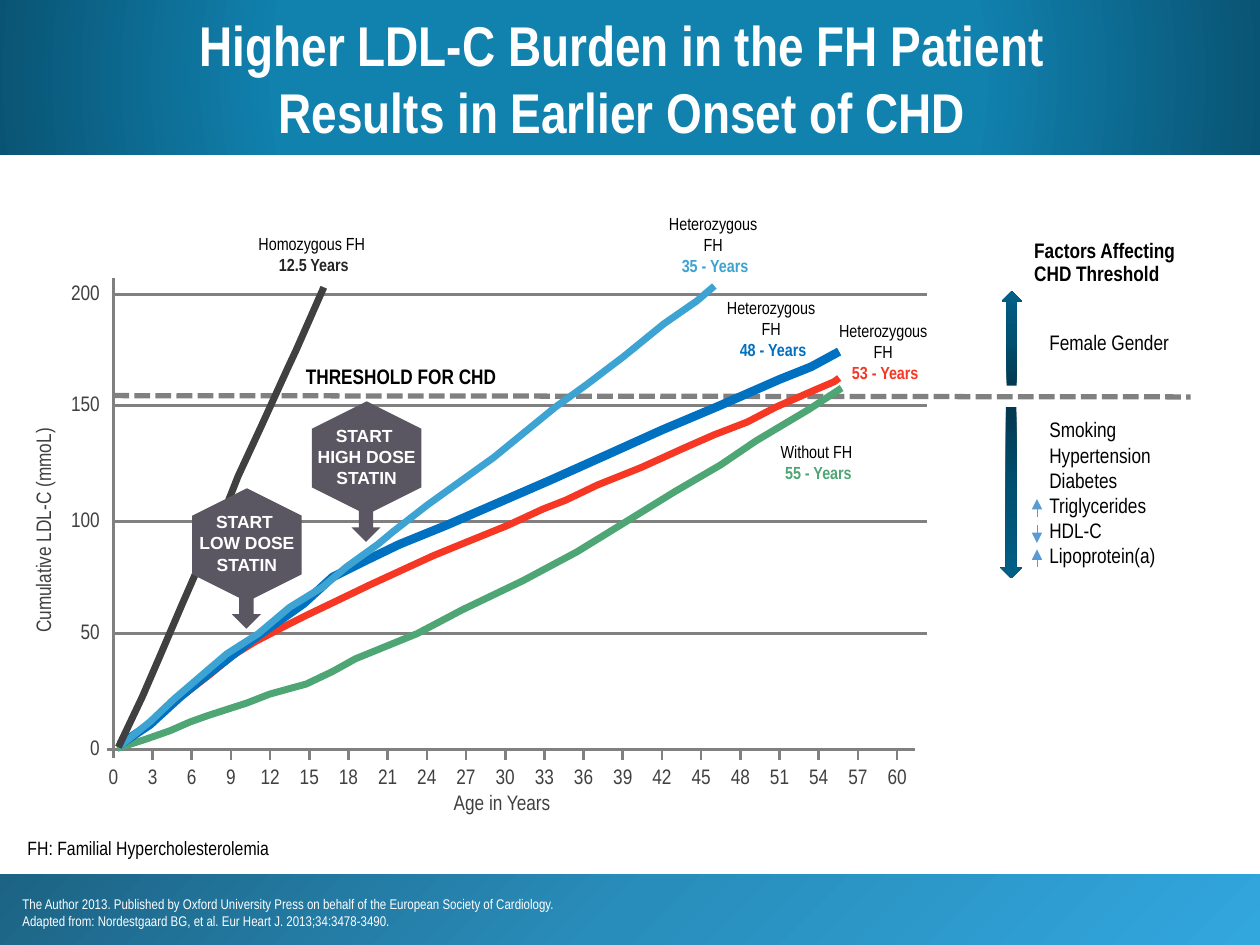
import copy
import dataclasses

import lxml.etree
import pptx
import pptx.dml.color
import pptx.enum.dml
import pptx.enum.shapes
import pptx.enum.text
import pptx.oxml.ns
import pptx.util

ALIGN = pptx.enum.text.PP_ALIGN
SHAPE = pptx.enum.shapes.MSO_SHAPE
qn = pptx.oxml.ns.qn


@dataclasses.dataclass(frozen=True)
class Type:
    size: float
    color: str
    bold: bool = False
    font: str = "Arial Narrow"


@dataclasses.dataclass(frozen=True)
class Theme:
    title: Type = Type(32, "FFFFFF", True)
    credit: Type = Type(8, "FFFFFF")
    axis: Type = Type(12, "404040")
    body: Type = Type(12, "000000")
    heading: Type = Type(12, "000000", True)
    group: Type = Type(10, "000000")
    statin: Type = Type(10, "FFFFFF", True, "Arial")
    note: Type = Type(11, "000000")
    grid: str = "808080"
    badge: str = "5A5762"
    trend: str = "5B9BD5"
    homozygous: str = "404040"
    onset_dark: str = "262626"
    early: str = "3CA3D3"
    middle: str = "0070C0"
    late: str = "F63724"
    without: str = "4EA675"
    banner: tuple = ((0, "1181AE"), (55, "1181AE"), (100, "095474"))
    footer: tuple = ((0, "1D6384"), (50, "298DBB"), (100, "31A7DE"))
    factor: tuple = ((0, "013950"), (50, "015172"), (100, "016087"))


THEME = Theme()
X_ORIGIN, X_STEP = 0.9, 0.311
GRID_LEVELS = {200: 2.34, 150: 3.22, 100: 4.14, 50: 5.03, 0: 5.95}

CURVES = [
    (THEME.without, 4, [(0.93, 5.94), (1.15, 5.87), (1.35, 5.8), (1.51, 5.73), (1.65, 5.68),
                        (1.96, 5.58), (2.14, 5.51), (2.32, 5.46), (2.43, 5.43), (2.64, 5.33),
                        (2.82, 5.23), (3.31, 5.03), (3.67, 4.84), (4.15, 4.61), (4.58, 4.38),
                        (4.97, 4.14), (5.36, 3.9), (5.72, 3.69), (6, 3.5), (6.42, 3.25),
                        (6.68, 3.08)]),
    (THEME.late, 4, [(0.95, 5.92), (1.2, 5.74), (1.45, 5.52), (1.67, 5.35), (1.85, 5.2),
                     (2.03, 5.09), (2.28, 4.96), (2.44, 4.88), (2.67, 4.77), (2.94, 4.64),
                     (3.44, 4.41), (3.66, 4.32), (4.03, 4.17), (4.31, 4.04), (4.49, 3.97),
                     (4.74, 3.85), (5.09, 3.71), (5.42, 3.56), (5.67, 3.45), (5.93, 3.35),
                     (6.16, 3.23), (6.48, 3.09), (6.62, 3.03), (6.66, 3)]),
    (THEME.middle, 5, [(0.95, 5.91), (1.19, 5.75), (1.43, 5.53), (1.65, 5.35), (2, 5.08),
                       (2.41, 4.79), (2.64, 4.58), (2.88, 4.46), (3.17, 4.32), (3.54, 4.17),
                       (4.37, 3.81), (4.86, 3.59), (5.26, 3.41), (5.71, 3.22), (6.19, 3.01),
                       (6.44, 2.91), (6.66, 2.79)]),
    (THEME.early, 4, [(0.94, 5.93), (1.19, 5.73), (1.38, 5.55), (1.8, 5.19), (2.05, 5.03),
                      (2.3, 4.82), (2.56, 4.66), (2.75, 4.5), (3, 4.32), (3.12, 4.22),
                      (3.39, 4.01), (3.92, 3.63), (4.41, 3.23), (4.66, 3.05), (4.95, 2.83),
                      (5.27, 2.57), (5.53, 2.39), (5.67, 2.27)]),
    (THEME.homozygous, 4, [(0.94, 5.93), (1.13, 5.53), (1.26, 5.23), (1.44, 4.81), (1.58, 4.49),
                           (1.76, 4.11), (1.89, 3.78), (2.08, 3.37), (2.28, 2.93), (2.35, 2.78),
                           (2.57, 2.28)]),
]

ONSETS = [
    ((1.42, 1.8, 2.14, 0.44), "Homozygous FH \n", "12.5 Years", THEME.onset_dark),
    ((6, 3.45, 0.99, 0.44), "Without FH \n", "55 - Years", THEME.without),
    ((4.98, 1.64, 1.39, 0.61), "Heterozygous \nFH \n", "35 - Years", THEME.early),
    ((5.44, 2.31, 1.39, 0.61), "Heterozygous \nFH \n", "48 - Years", THEME.middle),
    ((6.33, 2.49, 1.39, 0.61), "Heterozygous \nFH \n", "53 - Years", THEME.late),
]


def lengths(*inches):
    return [pptx.util.Cm(2.54 * value) for value in inches]


def rgb(color):
    return pptx.dml.color.RGBColor.from_string(color)


def write_run(paragraph, words, style):
    for index, line in enumerate(words.split("\n")):
        if index:
            paragraph.add_line_break()
            paragraph._p[-1].append(copy.deepcopy(run._r.get_or_add_rPr()))
        if line:
            run = paragraph.add_run()
            run.text = line
            run.font.size = pptx.util.Pt(style.size)
            run.font.name = style.font
            run.font.bold = style.bold
            run.font.color.rgb = rgb(style.color)


def write(frame, paragraphs, align=ALIGN.LEFT, spacing=None):
    for index, runs in enumerate(paragraphs):
        paragraph = frame.add_paragraph() if index else frame.paragraphs[0]
        paragraph.alignment = align
        paragraph.line_spacing = spacing
        for words, style in runs:
            write_run(paragraph, words, style)


def add_text(shapes, box, paragraphs, align=ALIGN.LEFT, spacing=None, wrap=True):
    label = shapes.add_textbox(*lengths(*box))
    label.text_frame.word_wrap = wrap
    label.text_frame.auto_size = pptx.enum.text.MSO_AUTO_SIZE.SHAPE_TO_FIT_TEXT
    write(label.text_frame, paragraphs, align, spacing)
    return label


def add_line(shapes, start, end, color=THEME.grid, width=1.5):
    line = shapes.add_connector(pptx.enum.shapes.MSO_CONNECTOR.STRAIGHT, *lengths(*start, *end))
    line.line.color.rgb = rgb(color)
    line.line.width = pptx.util.Pt(width)
    lxml.etree.SubElement(line._element.spPr, qn("a:effectLst"))
    return line


def add_trend(shapes, start, end):
    arrow = add_line(shapes, start, end, THEME.trend, 0.5)
    lxml.etree.SubElement(arrow.line._get_or_add_ln(), qn("a:tailEnd"), type="triangle")


def add_block(shapes, kind, box, color=None, rotation=0):
    block = shapes.add_shape(kind, *lengths(*box))
    block.shadow.inherit = False
    block.line.fill.background()
    block.rotation = rotation
    if color:
        block.fill.solid()
        block.fill.fore_color.rgb = rgb(color)
    return block


def add_gradient_block(shapes, kind, box, stops, angle=None):
    block = add_block(shapes, kind, box)
    gradient = lxml.etree.Element(qn("a:gradFill"), rotWithShape="1")
    stop_list = lxml.etree.SubElement(gradient, qn("a:gsLst"))
    for position, color in stops:
        stop = lxml.etree.SubElement(stop_list, qn("a:gs"), pos=str(position * 1000))
        lxml.etree.SubElement(stop, qn("a:srgbClr"), val=color)
    if angle is None:
        radial = lxml.etree.SubElement(gradient, qn("a:path"), path="circle")
        lxml.etree.SubElement(radial, qn("a:fillToRect"), dict.fromkeys("ltrb", "50000"))
    else:
        lxml.etree.SubElement(gradient, qn("a:lin"), ang=str(angle * 60000), scaled="0")
    block._element.spPr.find(qn("a:prstGeom")).addnext(gradient)
    return block


def add_curve(shapes, color, width, points):
    start, *rest = [lengths(*point) for point in points]
    builder = shapes.build_freeform(*start)
    builder.add_line_segments(rest, close=False)
    curve = builder.convert_to_shape()
    curve.shadow.inherit = False
    curve.fill.background()
    curve.line.color.rgb = rgb(color)
    curve.line.width = pptx.util.Pt(width)


def add_badge(shapes, left, top, words):
    add_block(shapes, SHAPE.DOWN_ARROW, (left + 0.33, top + 0.49, 0.23, 0.61), THEME.badge)
    add_block(shapes, SHAPE.HEXAGON, (left, top, 0.9, 0.87), THEME.badge, 270)
    add_text(shapes, (left - 0.065, top + 0.12, 1.03, 0.61), [[(words, THEME.statin)]], ALIGN.CENTER)


def add_axes(shapes):
    threshold = add_line(shapes, (0.9, 3.14), (9.45, 3.15), width=3)
    threshold.line.dash_style = pptx.enum.dml.MSO_LINE.SQUARE_DOT
    for value, y in GRID_LEVELS.items():
        add_line(shapes, (0.9 if value else 0.85, y), (7.36 if value else 7.26, y))
        add_text(shapes, (0.39, y - 0.17, 0.5, 0.3), [[(str(value), THEME.axis)]], ALIGN.RIGHT)
    add_line(shapes, (X_ORIGIN, 2.21), (X_ORIGIN, 6.02))
    for step in range(21):
        x = X_ORIGIN + step * X_STEP
        if step:
            add_line(shapes, (x, 5.95), (x, 6.03))
        add_text(shapes, (x - 0.23, 6.01, 0.46, 0.3), [[(str(step * 3), THEME.axis)]], ALIGN.CENTER)
    add_text(shapes, (2.97, 6.22, 2.03, 0.3), [[("Age in Years", THEME.axis)]], ALIGN.CENTER)
    cumulative = add_text(shapes, (-1.04, 4.06, 2.76, 0.3),
                          [[("Cumulative LDL-C (mmoL)", THEME.axis)]], ALIGN.CENTER)
    cumulative.rotation = 270


def add_factors(shapes):
    add_gradient_block(shapes, SHAPE.UP_ARROW, (7.95, 2.31, 0.16, 0.75), THEME.factor, 270)
    add_gradient_block(shapes, SHAPE.DOWN_ARROW, (7.94, 3.23, 0.17, 1.36), THEME.factor, 90)
    add_text(shapes, (8.11, 1.85, 1.37, 0.48),
             [[(words, THEME.heading)] for words in ("Factors Affecting", "CHD Threshold")],
             spacing=0.93, wrap=False)
    add_text(shapes, (8.23, 2.57, 2.14, 0.3), [[("Female Gender", THEME.body)]])
    risks = shapes.add_group_shape().shapes
    names = ("Smoking", "Hypertension", "Diabetes", "Triglycerides", "HDL-C", "Lipoprotein(a)")
    add_text(risks, (8.23, 3.26, 2.14, 1.52), [[(name, THEME.body)] for name in names])
    for start, end in ((4.5, 4.36), (4.1, 3.96), (4.17, 4.31)):
        add_trend(risks, (8.23, start), (8.23, end))


def main():
    deck = pptx.Presentation()
    deck.slide_width, deck.slide_height = lengths(10, 7.5)
    shapes = deck.slides.add_slide(deck.slide_layouts[6]).shapes

    add_gradient_block(shapes, SHAPE.RECTANGLE, (-0.02, 6.94, 10.02, 0.56), THEME.footer, 45)
    banner = add_gradient_block(shapes, SHAPE.RECTANGLE, (-0.02, 0, 10.02, 1.23), THEME.banner)
    banner.text_frame.vertical_anchor = pptx.enum.text.MSO_ANCHOR.MIDDLE
    write(banner.text_frame, [[("Higher LDL-C Burden in the FH Patient ", THEME.title)],
                              [("Results in Earlier Onset of CHD ", THEME.title)]], ALIGN.CENTER)
    add_text(shapes, (0.08, 7.06, 8.84, 0.36), [
        [("The Author 2013. Published by Oxford University Press on behalf of the "
          "European Society of Cardiology.", THEME.credit)],
        [("Adapted from: Nordestgaard BG, et al. Eur Heart J. 2013;34:3478-3490.", THEME.credit)]])

    add_axes(shapes)
    for curve in CURVES:
        add_curve(shapes, *curve)
    add_text(shapes, (2.33, 2.84, 2.14, 0.3), [[("THRESHOLD FOR CHD", THEME.heading)]])
    for box, patients, onset, color in ONSETS:
        onset_type = dataclasses.replace(THEME.group, color=color, bold=True)
        add_text(shapes, box, [[(patients, THEME.group), (onset, onset_type)]], ALIGN.CENTER)
    add_badge(shapes, 1.51, 3.89, "START \nLOW DOSE STATIN")
    add_badge(shapes, 2.46, 3.2, "START \nHIGH DOSE STATIN")
    add_factors(shapes)
    add_text(shapes, (0.12, 6.59, 7.86, 0.29), [[("FH: Familial Hypercholesterolemia", THEME.note)]])
    deck.save("out.pptx")


if __name__ == "__main__":
    main()
